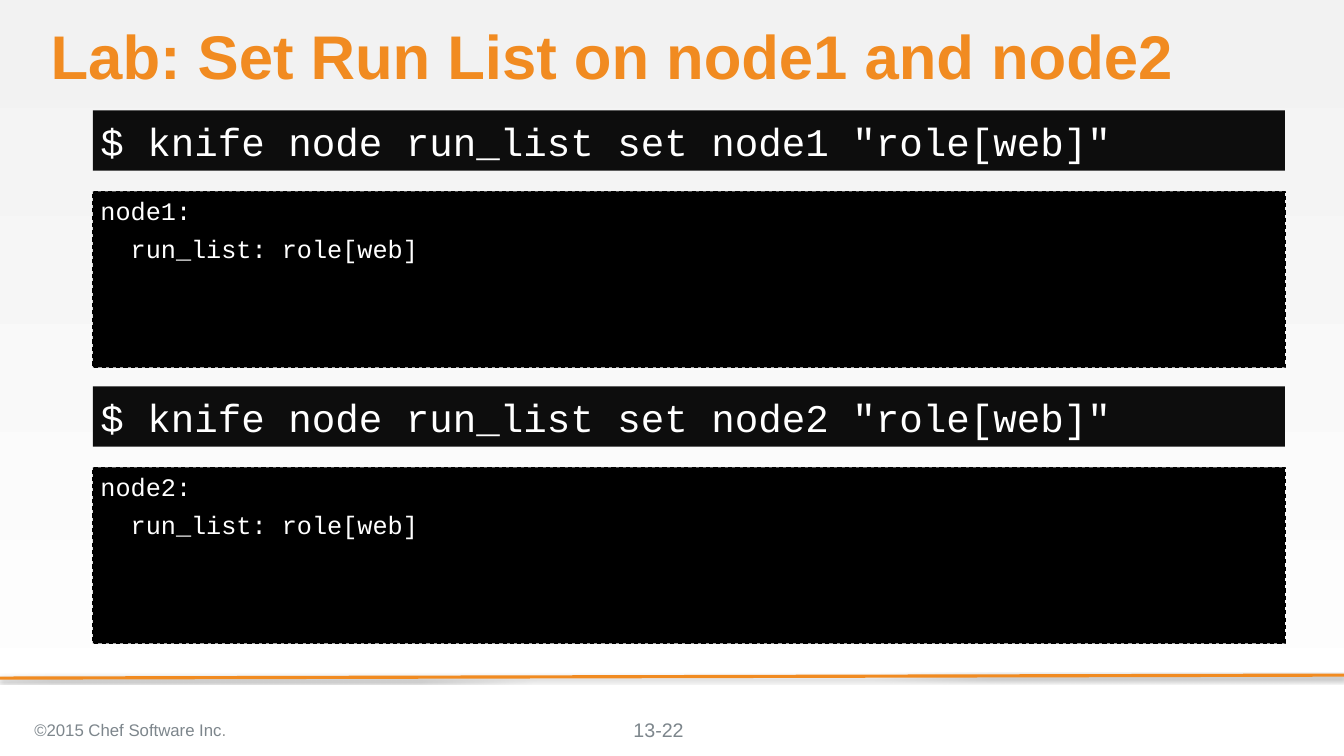
import lxml.etree
import pptx
import pptx.dml.color
import pptx.enum.dml
import pptx.enum.shapes
import pptx.enum.text
import pptx.oxml
import pptx.oxml.ns
import pptx.util

WIDTH, HEIGHT = 17.78, 10
COLORS = {
    "accent": "F18B21",
    "command": "0D0D0D",
    "output": "000000",
    "code": "FFFFFF",
    "footer": "7D868C",
    "stop": "929494",
    "top": "F2F2F2",
    "bottom": "FFFFFF",
}
ALIGN = pptx.enum.text.PP_ALIGN
ANCHOR = pptx.enum.text.MSO_ANCHOR
RULE_SHADOW = (
    '<a:effectLst xmlns:a="http://schemas.openxmlformats.org/drawingml/2006/main">'
    '<a:outerShdw blurRad="39370" dist="22860" dir="5400000" rotWithShape="0">'
    '<a:srgbClr val="000000"><a:alpha val="35000"/></a:srgbClr>'
    '</a:outerShdw></a:effectLst>'
)


def color(key):
    return pptx.dml.color.RGBColor.from_string(COLORS[key])


def inches(*lengths):
    return [pptx.util.Inches(length) for length in lengths]


def write(frame, text, *, size, fill, font="Arial", bold=False, align=ALIGN.LEFT,
          anchor=ANCHOR.MIDDLE, insets=(0.1, 0.05, 0.1, 0.05), gap=0, leading=None):
    frame.word_wrap = True
    frame.auto_size = pptx.enum.text.MSO_AUTO_SIZE.NONE
    frame.vertical_anchor = anchor
    (frame.margin_left, frame.margin_top,
     frame.margin_right, frame.margin_bottom) = inches(*insets)
    for index, line in enumerate(text.split("\n")):
        paragraph = frame.add_paragraph() if index else frame.paragraphs[0]
        paragraph.alignment = align
        paragraph.space_before = pptx.util.Pt(gap if index else 0)
        if leading:
            paragraph.line_spacing = leading
        run = paragraph.add_run()
        run.text = line
        run.font.name = font
        run.font.size = pptx.util.Pt(size)
        run.font.bold = bold
        run.font.color.rgb = color(fill)


def add_background(slide):
    fill = slide.background.fill
    fill.gradient()
    fill.gradient_angle = 270
    for stop, position, key in zip(fill.gradient_stops, (0, 1), ("top", "bottom")):
        stop.position = position
        stop.color.rgb = color(key)


def add_title(slide, box, text):
    title = slide.shapes.title
    title.left, title.top, title.width, title.height = inches(*box)
    write(title.text_frame, text, size=58.7, fill="accent", bold=True,
          insets=(0, 0, 0, 0), leading=0.9)


def add_panel(slide, box, fill):
    panel = slide.shapes.add_shape(
        pptx.enum.shapes.MSO_SHAPE.RECTANGLE, *inches(*box))
    panel.shadow.inherit = False
    panel.fill.solid()
    panel.fill.fore_color.rgb = color(fill)
    panel.line.fill.background()
    return panel


def add_terminal(slide, box, command, output):
    left, top, width, height = box
    command_height, output_top = height * 0.235, height * 0.315
    prompt = add_panel(slide, (left, top, width, command_height), "command")
    write(prompt.text_frame, command, size=37.3, fill="code", font="Courier New",
          insets=(0.1, 0, 0, 0))
    result = add_panel(
        slide, (left, top + output_top, width, height - output_top), "output")
    result.line.color.rgb = color("output")
    result.line.width = pptx.util.Pt(1)
    result.line.dash_style = pptx.enum.dml.MSO_LINE.DASH
    write(result.text_frame, output, size=24, fill="code", font="Courier New",
          anchor=ANCHOR.TOP, gap=8)


def add_footer(slide, box):
    left, top, width, height = box
    rule = slide.shapes.add_connector(
        pptx.enum.shapes.MSO_CONNECTOR.STRAIGHT,
        *inches(left + width, top, left, top + 0.04))
    rule.line.color.rgb = color("accent")
    rule.line.width = pptx.util.Pt(3)
    properties = rule._element.find(pptx.oxml.ns.qn("p:spPr"))
    properties.append(lxml.etree.fromstring(RULE_SHADOW))

    row_top, row_height = top + height * 0.42, height * 0.52
    copyright_box = slide.shapes.add_textbox(
        *inches(left + width * 0.02, row_top, width * 0.35, row_height))
    write(copyright_box.text_frame, "©2015 Chef Software Inc", size=16, fill="footer")
    full_stop = copyright_box.text_frame.paragraphs[0].add_run()
    full_stop.text = "."
    full_stop.font.name = "Arial"
    full_stop.font.size = pptx.util.Pt(16)
    full_stop.font.color.rgb = color("stop")

    page_number = slide.shapes.add_textbox(
        *inches(left + width * 0.43, row_top, width * 0.12, row_height))
    write(page_number.text_frame, "13-22", size=18.7, fill="footer", align=ALIGN.CENTER)


def main():
    deck = pptx.Presentation()
    deck.slide_width, deck.slide_height = inches(WIDTH, HEIGHT)
    slide = deck.slides.add_slide(deck.slide_layouts[5])
    add_background(slide)
    add_title(slide, (0.67, 0.33, 16.33, 0.91), "Lab: Set Run List on node1 and node2")
    for row, node in enumerate(("node1", "node2")):
        add_terminal(slide, (1.23, 1.46 + row * 3.65, 15.77, 3.4),
                     f'$ knife node run_list set {node} "role[web]"',
                     f"{node}:\n  run_list: role[web]")
    add_footer(slide, (0, 8.93, WIDTH, HEIGHT - 8.93))
    deck.save("out.pptx")


if __name__ == "__main__":
    main()
